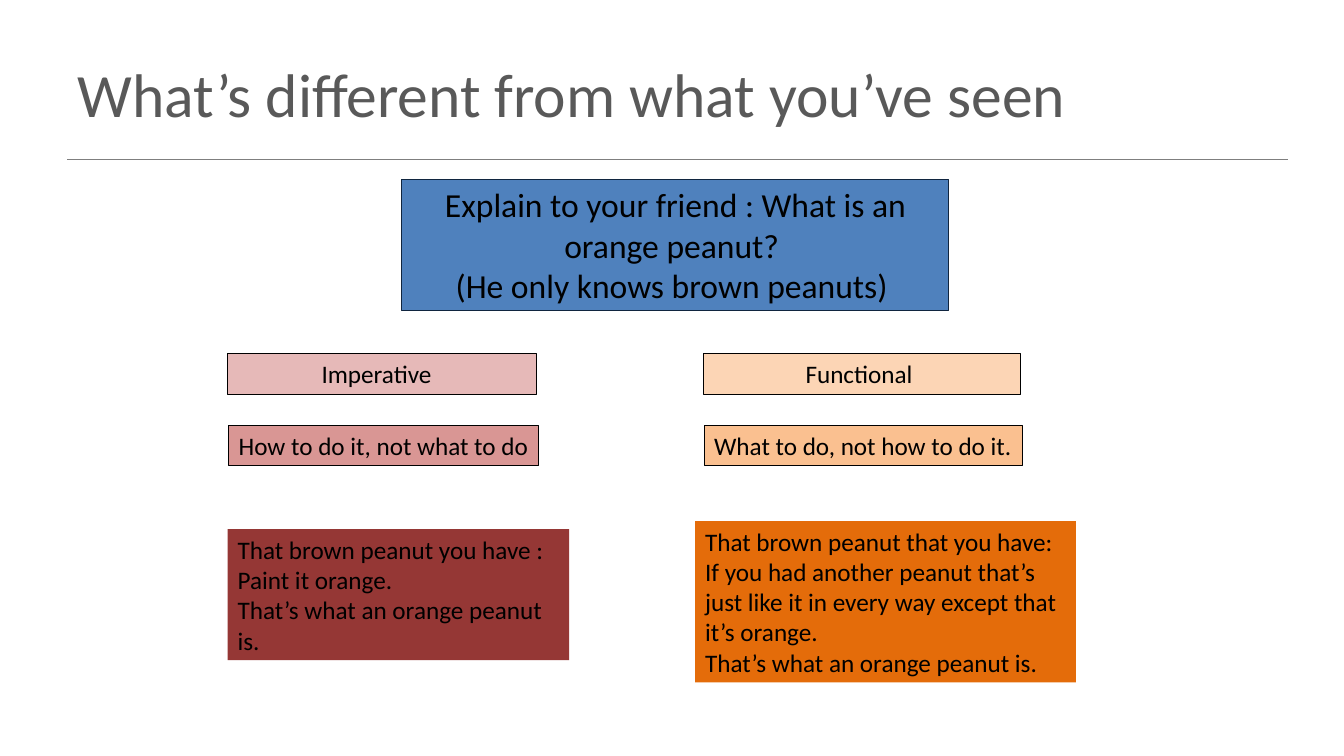
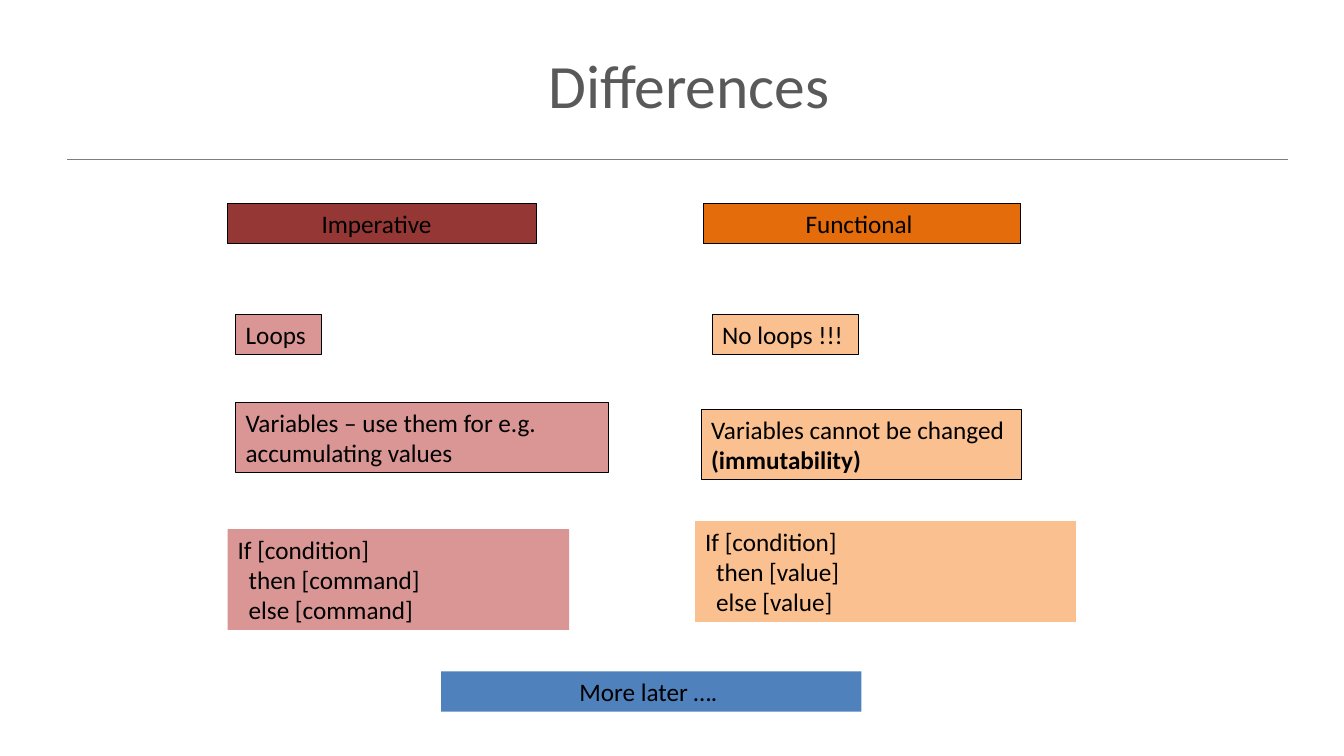
import pptx
import pptx.util
import pptx.dml.color
import pptx.enum.shapes
import pptx.enum.text
import lxml.etree

RGB = pptx.dml.color.RGBColor
ALIGN = pptx.enum.text.PP_ALIGN
ANCHOR = pptx.enum.text.MSO_ANCHOR

PX = 9144  # 100 px to the inch
FONT = "Calibri"
BLACK = RGB(0x00, 0x00, 0x00)
GRAY = RGB(0x59, 0x59, 0x59)
RULE = RGB(0x7F, 0x7F, 0x7F)
NAVY = RGB(0x10, 0x25, 0x3F)
BLUE = RGB(0x4F, 0x81, 0xBD)
PINK = RGB(0xE6, 0xB9, 0xB8)
ROSE = RGB(0xD9, 0x96, 0x94)
RED = RGB(0x95, 0x37, 0x35)
CREAM = RGB(0xFC, 0xD5, 0xB5)
PEACH = RGB(0xFA, 0xC0, 0x90)
ORANGE = RGB(0xE4, 0x6C, 0x0A)


def start(text, left, top, width, align):
    """Add a slide with its title and the rule below it."""
    slide = deck.slides.add_slide(deck.slide_layouts[6])
    rule = slide.shapes.add_connector(
        pptx.enum.shapes.MSO_CONNECTOR.STRAIGHT,
        67 * PX, 158 * PX, 1278 * PX, 158 * PX)
    rule.line.color.rgb = RULE
    rule.line.width = pptx.util.Pt(1)
    lxml.etree.SubElement(rule._element.spPr, pptx.oxml.ns.qn("a:effectLst"))
    title = slide.shapes.add_textbox(left * PX, top * PX, width * PX, 125 * PX)
    frame = title.text_frame
    frame.word_wrap = True
    frame.vertical_anchor = ANCHOR.MIDDLE
    para = frame.paragraphs[0]
    para.text = text
    para.alignment = align
    para.font.name = FONT
    para.font.size = pptx.util.Pt(44)
    para.font.color.rgb = GRAY
    return slide


def box(slide, area, fill, lines, edge=None, align=ALIGN.LEFT,
        size=18, wrap=True, indent=0):
    """Add a filled box; indent applies to every line after the first."""
    shape = slide.shapes.add_shape(
        pptx.enum.shapes.MSO_SHAPE.RECTANGLE, *[n * PX for n in area])
    shape.shadow.inherit = False
    shape.fill.solid()
    shape.fill.fore_color.rgb = fill
    if edge is None:
        shape.line.fill.background()
    else:
        shape.line.color.rgb = edge
        shape.line.width = pptx.util.Pt(0.75)
    frame = shape.text_frame
    frame.word_wrap = wrap
    frame.vertical_anchor = ANCHOR.TOP
    frame.text = "\n".join(lines)
    for para in frame.paragraphs:
        para.alignment = align
        para.font.name = FONT
        para.font.size = pptx.util.Pt(size)
        para.font.color.rgb = BLACK
    for para in frame.paragraphs[1:]:
        if indent:
            para._p.get_or_add_pPr().set("marL", str(indent * PX))
    return frame


deck = pptx.Presentation()
deck.slide_width = 1334 * PX
deck.slide_height = 750 * PX

peanut = start("What’s different from what you’ve seen", 67, 30, 1200, ALIGN.LEFT)
box(peanut, (399, 178, 543, 130), BLUE,
    ["Explain to your friend : What is an orange peanut? ",
     "(He only knows brown peanuts) "],
    edge=NAVY, align=ALIGN.CENTER, size=24)
for area, fill, text in [
        ((227, 422, 308, 40), ROSE, "How to do it, not what to do"),
        ((699, 422, 316, 40), PEACH, "What to do, not how to do it.")]:
    box(peanut, area, fill, [text], edge=BLACK, wrap=False)
box(peanut, (226, 525, 339, 130), RED,
    ["That brown peanut you have : Paint it orange.",
     "That’s what an orange peanut is."])
box(peanut, (690, 517, 378, 160), ORANGE,
    ["That brown peanut that you have:",
     "If you had another peanut that’s just like it in every way "
     "except that it’s orange.",
     "That’s what an orange peanut is."])

diff = start("Differences", 234, 21, 900, ALIGN.CENTER)
for area, fill, text in [
        ((234, 312, 85, 40), ROSE, "Loops"),
        ((707, 312, 145, 40), PEACH, "No loops !!!")]:
    box(diff, area, fill, [text], edge=BLACK, wrap=False)
box(diff, (234, 399, 370, 70), ROSE,
    ["Variables – use them for e.g. accumulating values"], edge=BLACK)
fixed = box(diff, (696, 406, 318, 70), PEACH,
            ["Variables cannot be changed", "(immutability)"],
            edge=BLACK, wrap=False)
fixed.paragraphs[1].font.bold = True
for area, fill, kind in [
        ((226, 525, 339, 100), ROSE, "command"),
        ((690, 517, 378, 100), PEACH, "value")]:
    box(diff, area, fill,
        ["If [condition]", f"then [{kind}]", f"else [{kind}]"], indent=11)
box(diff, (438, 666, 417, 40), BLUE, ["More later …. "], align=ALIGN.CENTER)

# Column heads, alike on both slides but for height and colour
for slide, top, left, right in [
        (peanut, 351, PINK, CREAM), (diff, 202, RED, ORANGE)]:
    head = box(slide, (226, top, 307, 40), left, ["Imperative "],
               edge=BLACK, align=ALIGN.CENTER)
    head.margin_left = 4 * PX
    box(slide, (698, top, 315, 40), right, ["Functional "],
        edge=BLACK, align=ALIGN.CENTER)

deck.save("out.pptx")
